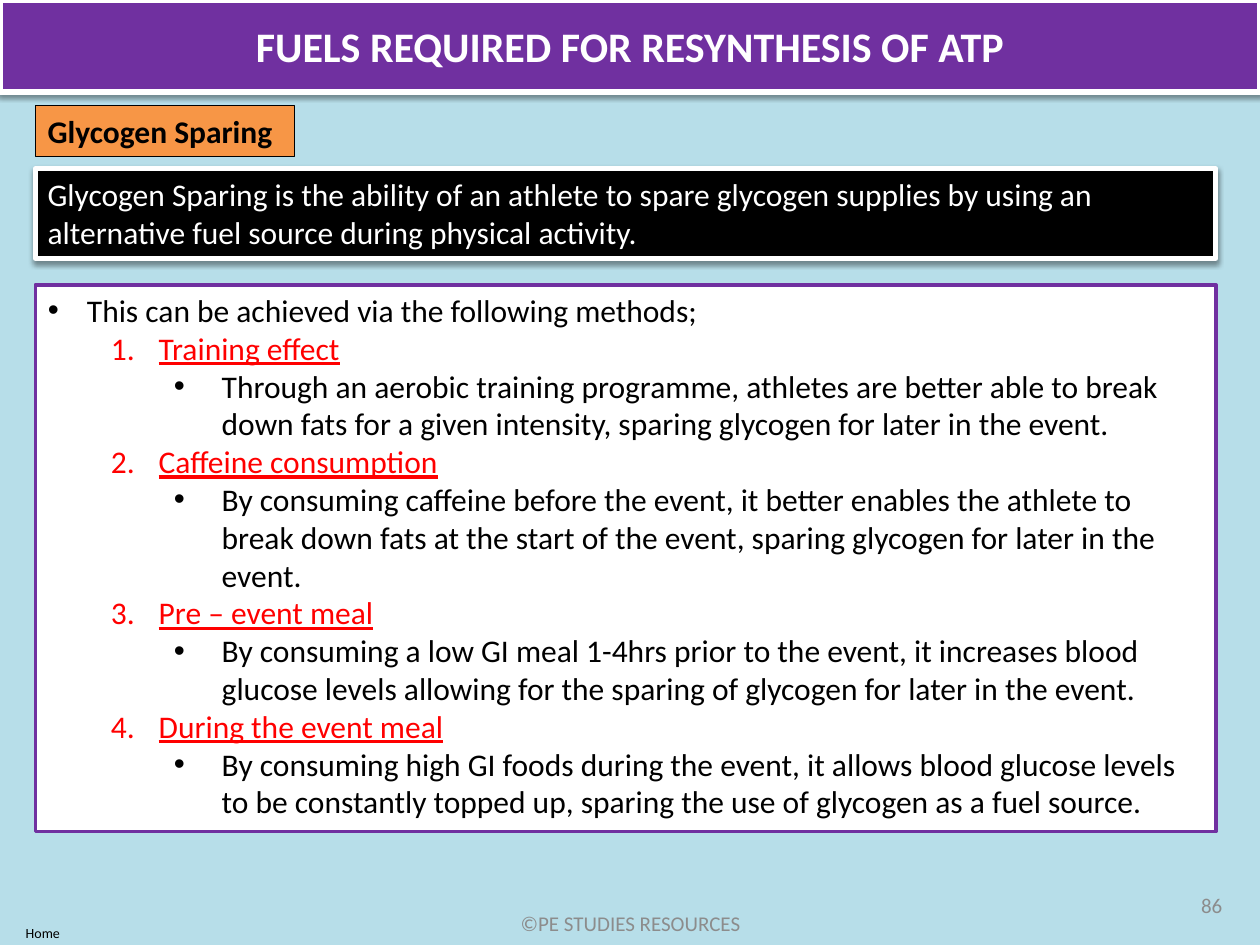
"""Build the glycogen sparing slide."""
from dataclasses import dataclass
from typing import Optional

from lxml import etree
from pptx import Presentation
from pptx.dml.color import RGBColor
from pptx.enum import shapes, text
from pptx.oxml import ns
from pptx.util import Inches, Pt


@dataclass(frozen=True)
class Theme:
    face: str = "Calibri"
    sky: str = "B7DEE9"
    plum: str = "7030A0"
    gold: str = "F79646"
    red: str = "FF0000"
    gray: str = "8C8C8C"
    black: str = "000000"
    white: str = "FFFFFF"
    head: int = 24
    main: int = 18
    foot: int = 12
    tiny: int = 8


@dataclass(frozen=True)
class Box:
    left: float
    top: float
    width: float
    height: float


@dataclass(frozen=True)
class Look:
    fill: str
    edge: str
    weight: float
    shade: bool = False


@dataclass(frozen=True)
class Type:
    size: int
    color: str
    bold: bool = False
    line: bool = False


@dataclass(frozen=True)
class Level:
    depth: int
    left: float
    hang: float
    style: Type
    count: bool = False


@dataclass(frozen=True)
class Method:
    name: str
    detail: str


@dataclass(frozen=True)
class Note:
    words: str
    box: Box
    style: Type
    align: text.PP_ALIGN
    anchor: text.MSO_ANCHOR


T = Theme()
EDGE, WIDE = 0.28, 9.37
BODY = Type(T.main, T.black)
INTRO = Level(0, 0.31, 0.31, BODY)
NAME = Level(1, 0.88, 0.38, Type(T.main, T.red, line=True), count=True)
DETAIL = Level(2, 1.38, 0.38, BODY)
GRAY = Type(T.foot, T.gray)
MID, TOP = text.MSO_ANCHOR.MIDDLE, text.MSO_ANCHOR.TOP

METHODS = [
    Method("Training effect",
           "Through an aerobic training programme, athletes are better able to break down fats "
           "for a given intensity, sparing glycogen for later in the event."),
    Method("Caffeine consumption",
           "By consuming caffeine before the event, it better enables the athlete to break down "
           "fats at the start of the event, sparing glycogen for later in the event."),
    Method("Pre – event meal",
           "By consuming a low GI meal 1-4hrs prior to the event, it increases blood glucose "
           "levels allowing for the sparing of glycogen for later in the event."),
    Method("During the event meal",
           "By consuming high GI foods during the event, it allows blood glucose levels to be "
           "constantly topped up, sparing the use of glycogen as a fuel source."),
]
NOTES = [
    Note("©PE STUDIES RESOURCES", Box(3.42, 7.13, 3.17, 0.4), GRAY, text.PP_ALIGN.CENTER, MID),
    Note("86", Box(7.47, 6.98, 2.33, 0.4), GRAY, text.PP_ALIGN.RIGHT, MID),
    Note("Home", Box(-0.12, 7.29, 0.92, 0.24), Type(T.tiny, T.black), text.PP_ALIGN.CENTER, TOP),
]


def place(shape, box: Box) -> None:
    """Move and size a shape."""
    shape.left, shape.top = Inches(box.left), Inches(box.top)
    shape.width, shape.height = Inches(box.width), Inches(box.height)


def paint(shape, look: Look) -> None:
    """Set the fill, the line and the shadow."""
    shape.fill.solid()
    shape.fill.fore_color.rgb = RGBColor.from_string(look.fill)
    shape.line.color.rgb = RGBColor.from_string(look.edge)
    shape.line.width = Pt(look.weight)
    shape.shadow.inherit = False
    if look.shade:
        effects = shape._element.spPr.find(ns.qn("a:effectLst"))
        cast = etree.SubElement(effects, ns.qn("a:outerShdw"), blurRad=str(Pt(3.1)),
                                dist=str(Pt(1.6)), dir="5400000", rotWithShape="0")
        tint = etree.SubElement(cast, ns.qn("a:srgbClr"), val=T.black)
        etree.SubElement(tint, ns.qn("a:alpha"), val="38000")


def style(para, look: Type, align: Optional[text.PP_ALIGN] = None) -> None:
    """Format the runs of a paragraph."""
    para.alignment = align
    for run in para.runs:
        font = run.font
        font.name, font.size, font.bold = T.face, Pt(look.size), look.bold
        font.underline = look.line
        font.color.rgb = RGBColor.from_string(look.color)


def fill(shape, words: str, look: Type, align: text.PP_ALIGN,
         anchor: text.MSO_ANCHOR, wrap: bool = True) -> None:
    """Write one paragraph into a shape."""
    frame = shape.text_frame
    frame.text = words
    frame.word_wrap, frame.vertical_anchor = wrap, anchor
    frame.auto_size = text.MSO_AUTO_SIZE.NONE
    style(frame.paragraphs[0], look, align)


def item(para, words: str, level: Level) -> None:
    """Write one bulleted or numbered line."""
    para.text, para.level = words, level.depth
    para.space_before = Pt(0)
    props = para._p.get_or_add_pPr()
    props.set("marL", str(Inches(level.left)))
    props.set("indent", str(-Inches(level.hang)))
    if level.count:
        etree.SubElement(props, ns.qn("a:buFont"), typeface="+mj-lt")
        etree.SubElement(props, ns.qn("a:buAutoNum"), type="arabicPeriod")
    else:
        etree.SubElement(props, ns.qn("a:buFont"), typeface="Arial")
        etree.SubElement(props, ns.qn("a:buChar"), char="•")
    style(para, level.style)


def panel(slide, box: Box, look: Look, words: str, kind: Type, wrap: bool = True) -> None:
    """Draw a filled rectangle with left-set text."""
    shape = slide.shapes.add_shape(shapes.MSO_SHAPE.RECTANGLE, 0, 0, 0, 0)
    place(shape, box)
    paint(shape, look)
    fill(shape, words, kind, text.PP_ALIGN.LEFT, TOP, wrap)


def main() -> None:
    """Build and save the slide."""
    deck = Presentation()
    deck.slide_width, deck.slide_height = Inches(10), Inches(7.5)
    slide = deck.slides.add_slide(deck.slide_layouts[1])
    slide.background.fill.solid()
    slide.background.fill.fore_color.rgb = RGBColor.from_string(T.sky)

    title, body = slide.placeholders
    place(title, Box(0, 0, 10, 0.73))
    paint(title, Look(T.plum, T.white, 3, shade=True))
    fill(title, "FUELS REQUIRED FOR RESYNTHESIS OF ATP", Type(T.head, T.white, bold=True),
         text.PP_ALIGN.CENTER, MID)

    place(body, Box(EDGE, 2.26, WIDE, 4.34))
    paint(body, Look(T.white, T.plum, 2))
    frame = body.text_frame
    frame.auto_size = text.MSO_AUTO_SIZE.NONE
    item(frame.paragraphs[0], "This can be achieved via the following methods;", INTRO)
    for method in METHODS:
        item(frame.add_paragraph(), method.name, NAME)
        item(frame.add_paragraph(), method.detail, DETAIL)

    panel(slide, Box(EDGE, 1.34, WIDE, 0.71), Look(T.black, T.white, 3, shade=True),
          "Glycogen Sparing is the ability of an athlete to spare glycogen supplies by using an "
          "alternative fuel source during physical activity.", Type(T.main, T.white))
    panel(slide, Box(EDGE, 0.84, 2.06, 0.4), Look(T.gold, T.black, 0.75),
          "Glycogen Sparing", Type(T.main, T.black, bold=True), wrap=False)

    for note in NOTES:
        label = slide.shapes.add_textbox(0, 0, 0, 0)
        place(label, note.box)
        fill(label, note.words, note.style, note.align, note.anchor)
    deck.save("out.pptx")


if __name__ == "__main__":
    main()
